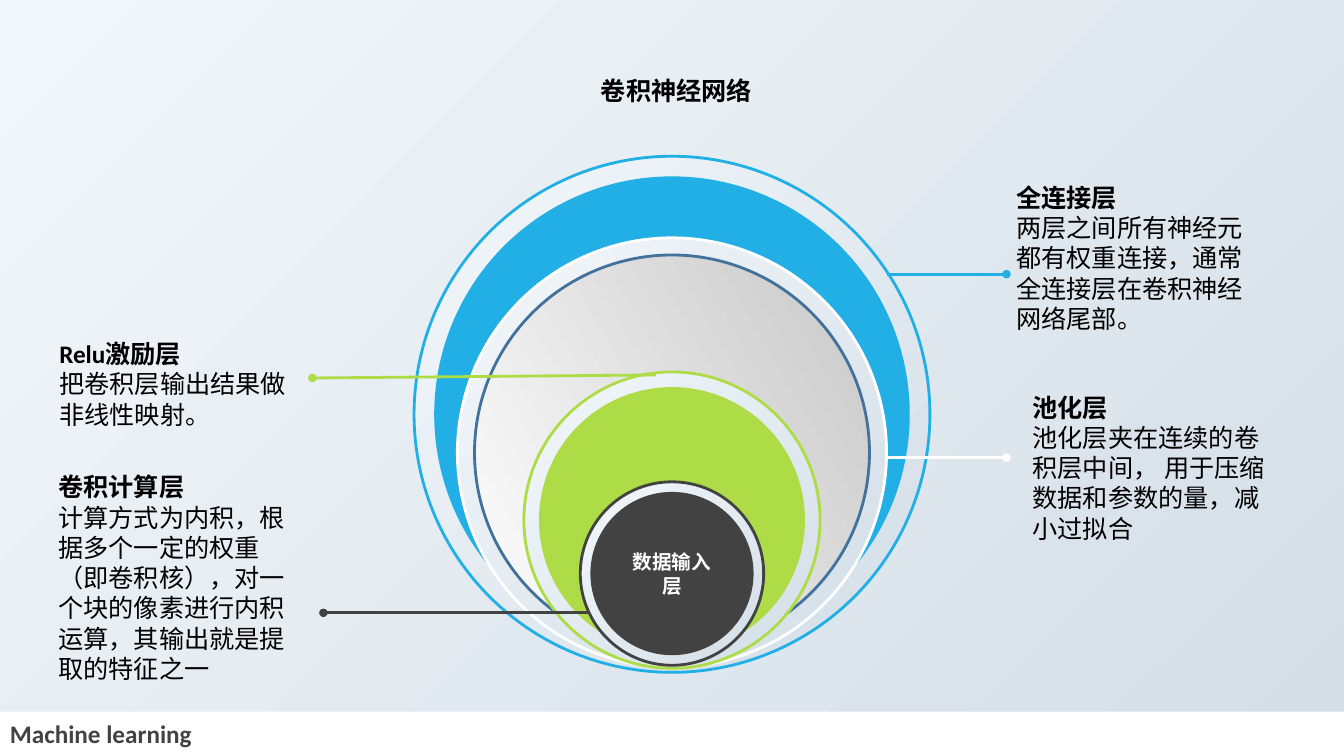
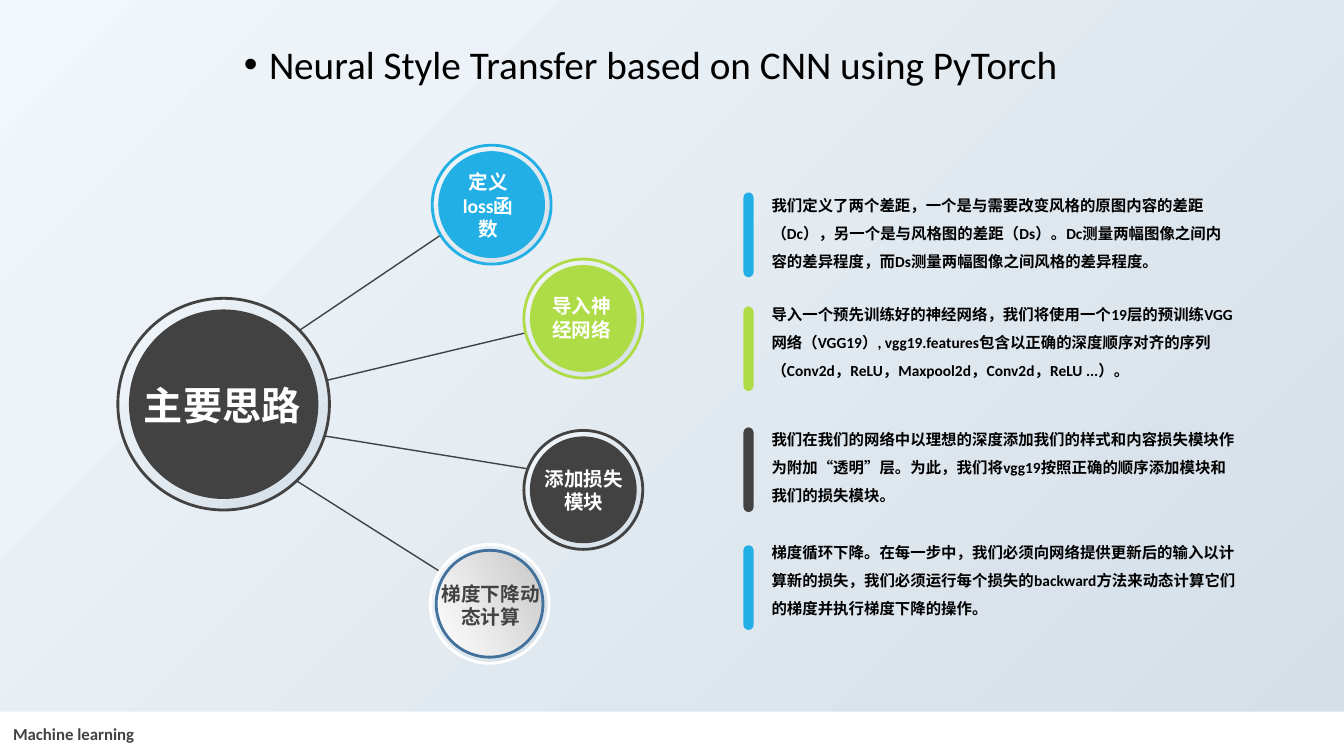
from lxml import etree
from pptx import Presentation
from pptx.dml.color import RGBColor
from pptx.enum.shapes import MSO_CONNECTOR, MSO_SHAPE
from pptx.enum.text import MSO_ANCHOR, MSO_AUTO_SIZE, PP_ALIGN
from pptx.oxml.ns import qn
from pptx.util import Emu, Pt

STRAIGHT = MSO_CONNECTOR.STRAIGHT
RECT, OVAL, ROUND = MSO_SHAPE.RECTANGLE, MSO_SHAPE.OVAL, MSO_SHAPE.ROUNDED_RECTANGLE
LEFT, CENTER = PP_ALIGN.LEFT, PP_ALIGN.CENTER
TOP, MIDDLE = MSO_ANCHOR.TOP, MSO_ANCHOR.MIDDLE
NO_AUTOFIT = MSO_AUTO_SIZE.NONE

SCALE = 9144
WIDTH, HEIGHT = 1334, 750
BLUE, GREEN, DARK = "21AFE6", "AEDC46", "424242"
WHITE, BLACK, STEEL = "FFFFFF", "000000", "42719B"
PALE = ("F2F7FB", "D4DEE7", 45)
SILVER = ("FFFFFF", "C8C8C8", 330)

LAYERS = [
    (155, 512, 20, BLUE, BLUE, None),
    (236, 426, 17, WHITE, SILVER, STEEL),
    (369, 294, 15, GREEN, GREEN, None),
    (478, 182, 10, DARK, DARK, None),
]
LEADERS = [
    (880, 272, 999, 272, BLUE),
    (880, 454, 999, 454, WHITE),
    (651, 372, 310, 375, GREEN),
    (586, 608, 321, 608, DARK),
]
CALLOUTS = [
    (999, 176, 160, "全连接层", "两层之间所有神经元都有权重连接，通常全连接层在卷积神经网络尾部。"),
    (1015, 384, 160, "池化层", "池化层夹在连续的卷积层中间， 用于压缩数据和参数的量，减小过拟合"),
    (49, 331, 100, "Relu激励层", "把卷积层输出结果做非线性映射。"),
    (48, 463, 250, "卷积计算层",
     "计算方式为内积，根据多个一定的权重（即卷积核），对一个块的像素进行内积运算，其输出就是提取的特征之一"),
]
SPOKES = [
    (288, 334, 463, 216),
    (288, 386, 573, 318),
    (288, 427, 579, 474),
    (269, 461, 489, 600),
]
STEPS = [
    (429, 144, BLUE, BLUE, None, (15, 20, 81), "定义loss函数", WHITE),
    (520, 257, GREEN, GREEN, None, (10, 30, 95), "导入神经网络", WHITE),
    (520, 427, DARK, DARK, None, (10, 31, 99), "添加损失模块", WHITE),
    (427, 540, WHITE, SILVER, STEEL, (1, 32, 118), "梯度下降动态计算", DARK),
]
NOTES = [
    (181, 10, BLUE,
     "我们定义了两个差距，一个是与需要改变风格的原图内容的差距（Dc），另一个是与风格图的差距（Ds）。"
     "Dc测量两幅图像之间内容的差异程度，而Ds测量两幅图像之间风格的差异程度。"),
    (289, 15, GREEN,
     "导入一个预先训练好的神经网络，我们将使用一个19层的预训练VGG网络（VGG19）, vgg19.features"
     "包含以正确的深度顺序对齐的序列（Conv2d，ReLU，Maxpool2d，Conv2d，ReLU ...）。"),
    (413, 11, DARK,
     "我们在我们的网络中以理想的深度添加我们的样式和内容损失模块作为附加“透明”层。"
     "为此，我们将vgg19按照正确的顺序添加模块和我们的损失模块。"),
    (525, 16, BLUE,
     "梯度循环下降。在每一步中，我们必须向网络提供更新后的输入以计算新的损失，"
     "我们必须运行每个损失的backward方法来动态计算它们的梯度并执行梯度下降的操作。"),
]


def px(*values):
    """Turn px lengths into EMU."""
    return [Emu(v * SCALE) for v in values]


def rgb(code):
    """Turn a hex string into a colour."""
    return RGBColor.from_string(code)


def paint(fill, colour):
    """Fill with a hex colour or a (start, end, clockwise angle) gradient."""
    if isinstance(colour, str):
        fill.solid()
        fill.fore_color.rgb = rgb(colour)
        return
    *ends, angle = colour
    fill.gradient()
    fill.gradient_angle = 360 - angle
    for stop, end in zip(fill.gradient_stops, ends):
        stop.color.rgb = rgb(end)


def add_shape(slide, kind, box, fill, line=None):
    """Add a flat preset shape."""
    sp = slide.shapes.add_shape(kind, *px(*box))
    sp.shadow.inherit = False
    paint(sp.fill, fill)
    if line:
        sp.line.color.rgb = rgb(line)
        sp.line.width = Pt(2)
    else:
        sp.line.fill.background()
    return sp


def write(sp, lines, size, colour=BLACK, align=LEFT, anchor=TOP, font="Calibri", spacing=None):
    """Write (text, bold) lines into a shape, one paragraph each."""
    tf = sp.text_frame
    tf.word_wrap = True
    tf.auto_size = NO_AUTOFIT
    tf.vertical_anchor = anchor
    for i, (text, bold) in enumerate(lines):
        p = tf.add_paragraph() if i else tf.paragraphs[0]
        p.text = text
        p.alignment = align
        if spacing:
            p.line_spacing = spacing
        f = p.font
        f.name, f.size, f.bold = font, Pt(size), bold
        f.color.rgb = rgb(colour)
    return tf


def add_text(slide, box, lines, size, **style):
    """Add a wrapping text box."""
    return write(slide.shapes.add_textbox(*px(*box)), lines, size, **style)


def add_line(slide, ends, colour, width, dot=False):
    """Add a straight line, with an optional dot at its end."""
    ln = slide.shapes.add_connector(STRAIGHT, *px(*ends))
    ln.line.color.rgb = rgb(colour)
    ln.line.width = Pt(width)
    if dot:
        etree.SubElement(ln.line._get_or_add_ln(), qn("a:tailEnd"), type="oval")
    etree.SubElement(ln._element.spPr, qn("a:effectLst"))


def add_disc(slide, x, y, size, pad, ring, fill, rim=None):
    """Add a ringed disc and return its inner circle."""
    inner = size - 2 * pad
    add_shape(slide, OVAL, (x, y, size, size), PALE, ring)
    return add_shape(slide, OVAL, (x + pad, y + pad, inner, inner), fill, rim)


def add_footer(slide, size, inset):
    """Add the white band with the course name."""
    sp = add_shape(slide, RECT, (0, 706, WIDTH, 44), WHITE)
    tf = write(sp, [("Machine learning", True)], size, colour=DARK, anchor=MIDDLE)
    tf.margin_left = px(inset)[0]


def set_title(slide, box, text, size, bold, **style):
    """Move, fill and format the title placeholder."""
    sp = slide.shapes.title
    sp.left, sp.top, sp.width, sp.height = px(*box)
    return write(sp, [(text, bold)], size, **style)


def add_bullet(p):
    """Give a paragraph a hanging black bullet."""
    pPr = p._p.get_or_add_pPr()
    pPr.set("marL", str(25 * SCALE))
    pPr.set("indent", str(-25 * SCALE))
    clr = etree.Element(qn("a:buClr"))
    etree.SubElement(clr, qn("a:srgbClr"), val=BLACK)
    font = etree.Element(qn("a:buFont"), typeface="Arial")
    char = etree.Element(qn("a:buChar"), char="•")
    defaults = pPr.find(qn("a:defRPr"))
    for el in (clr, font, char):
        defaults.addprevious(el)


def add_callout(slide, x, y, height, heading, body):
    """Add a bold heading with its explanation below."""
    add_text(slide, (x, y, 251, height), [(heading, True), (body, False)], 18)


def add_note(slide, y, drop, colour, text):
    """Add a paragraph with a coloured bar on its left."""
    add_text(slide, (756, y, 481, 93), [(text, True)], 11, spacing=1.5)
    bar = add_shape(slide, ROUND, (738, y + drop, 10, 84), colour)
    bar.adjustments[0] = 0.5


def add_step(slide, x, y, ring, fill, rim, label, text, colour):
    """Add a small disc with a label placed relative to it."""
    add_disc(slide, x, y, 118, 6, ring, fill, rim)
    dx, dy, width = label
    add_text(slide, (x + dx, y + dy, width, 57), [(text, True)], 14, colour=colour, align=CENTER)


def build_layers(slide):
    """Build the slide with the nested network layers."""
    add_footer(slide, 18, 10)
    set_title(slide, (404, 70, 535, 40), "卷积神经网络", 18, True, align=CENTER, font="Arial")
    for y, size, pad, ring, fill, rim in LAYERS:
        core = add_disc(slide, 667 - size // 2, y, size, pad, ring, fill, rim)
    write(core, [("数据输入层", True)], 14, colour=WHITE, align=CENTER, anchor=MIDDLE, font="Arial")
    for *ends, colour in LEADERS:
        add_line(slide, ends, colour, 2, dot=True)
    for callout in CALLOUTS:
        add_callout(slide, *callout)


def build_steps(slide):
    """Build the slide with the hub, its four steps and their notes."""
    add_footer(slide, 12, 13)
    tf = set_title(slide, (232, 40, 915, 52), "Neural Style Transfer based on CNN using PyTorch",
                   28, False, spacing=0.9)
    add_bullet(tf.paragraphs[0])
    for ends in SPOKES:
        add_line(slide, ends, DARK, 1)
    add_disc(slide, 117, 296, 210, 11, DARK, DARK)
    add_text(slide, (127, 373, 187, 57), [("主要思路", True)], 28, colour=WHITE, align=CENTER)
    for step in STEPS:
        add_step(slide, *step)
    for note in NOTES:
        add_note(slide, *note)


def main():
    """Build and save the presentation."""
    prs = Presentation()
    prs.slide_width, prs.slide_height = px(WIDTH, HEIGHT)
    paint(prs.slide_master.background.fill, PALE)
    for build in (build_layers, build_steps):
        build(prs.slides.add_slide(prs.slide_layouts[5]))
    prs.save("out.pptx")


if __name__ == "__main__":
    main()
